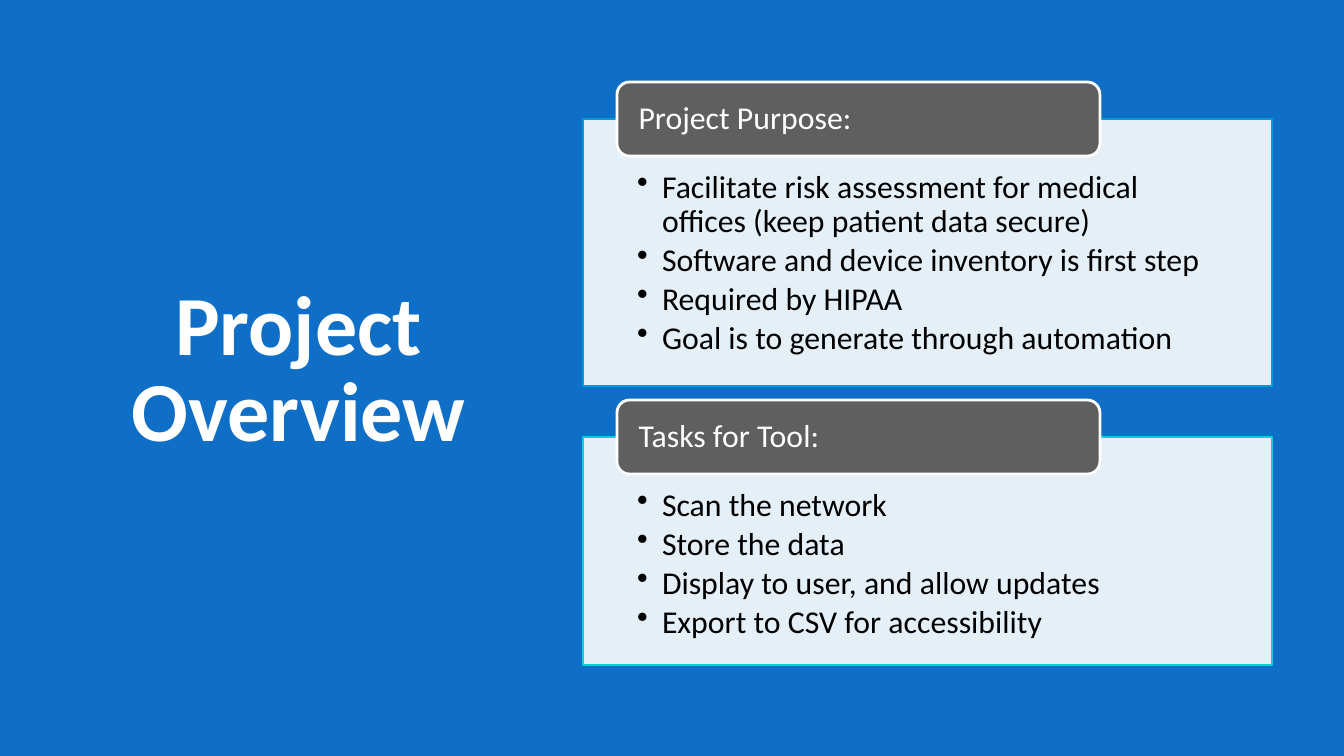
from lxml import etree
from pptx import Presentation
from pptx.dml.color import RGBColor
from pptx.enum.shapes import MSO_SHAPE
from pptx.enum.text import MSO_ANCHOR, PP_ALIGN
from pptx.oxml.ns import qn
from pptx.util import Pt

EMU_PER_PX = 914400 / 134.4
RECTANGLE = MSO_SHAPE.RECTANGLE
ROUNDED = MSO_SHAPE.ROUNDED_RECTANGLE
TOP, MIDDLE = MSO_ANCHOR.TOP, MSO_ANCHOR.MIDDLE
LEFT, CENTER = PP_ALIGN.LEFT, PP_ALIGN.CENTER

FONT = "Calibri"
COLORS = {
    "background": "0F6FC6",
    "white": "FFFFFF",
    "black": "000000",
    "tab": "5F5F5F",
    "purpose_line": "009DD9",
    "tasks_line": "0ACFD8",
}
PANEL_LEFT, PANEL_WIDTH = 583, 689
TAB_LEFT, TAB_WIDTH, TAB_HEIGHT = 617, 483, 74
BULLET_INDENT = 25

# Heading, panel top, panel height, line colour, bullet points
SECTIONS = [
    ("Project Purpose:", 119, 267, "purpose_line", [
        "Facilitate risk assessment for medical offices (keep patient data secure)",
        "Software and device inventory is first step",
        "Required by HIPAA",
        "Goal is to generate through automation",
    ]),
    ("Tasks for Tool:", 437, 228, "tasks_line", [
        "Scan the network",
        "Store the data",
        "Display to user, and allow updates",
        "Export to CSV for accessibility",
    ]),
]


def px(length):
    return round(length * EMU_PER_PX)


def color(name):
    return RGBColor.from_string(COLORS[name])


def set_frame(frame, anchor, left, top, right, bottom):
    frame.word_wrap = True
    frame.vertical_anchor = anchor
    frame.margin_left, frame.margin_top = px(left), px(top)
    frame.margin_right, frame.margin_bottom = px(right), px(bottom)


def style_paragraph(para, size, color_name, align=LEFT, spacing=0.9, bold=False):
    para.alignment = align
    para.line_spacing = spacing
    para.font.name = FONT
    para.font.size = Pt(size)
    para.font.bold = bold
    para.font.color.rgb = color(color_name)


def add_bullet(para):
    properties = para._p.get_or_add_pPr()
    properties.set("marL", str(px(BULLET_INDENT)))
    properties.set("indent", str(-px(BULLET_INDENT)))
    bullet = etree.Element(qn("a:buChar"), char="•")
    properties.insert_element_before(bullet, "a:tabLst", "a:defRPr", "a:extLst")


def set_opacity(shape, percent):
    fill_color = shape._element.spPr.find(qn("a:solidFill"))[0]
    etree.SubElement(fill_color, qn("a:alpha"), val=str(percent * 1000))


def add_box(slide, kind, left, top, width, height, fill, line, line_width):
    box = slide.shapes.add_shape(kind, px(left), px(top), px(width), px(height))
    box.shadow.inherit = False
    box.fill.solid()
    box.fill.fore_color.rgb = color(fill)
    box.line.color.rgb = color(line)
    box.line.width = Pt(line_width)
    return box


def add_title(slide, text):
    box = slide.shapes.add_textbox(px(78), px(70), px(441), px(606))
    set_frame(box.text_frame, MIDDLE, 13, 7, 13, 7)
    para = box.text_frame.paragraphs[0]
    para.text = text
    style_paragraph(para, 45, "white", CENTER, 0.85, bold=True)
    para.space_after = Pt(6)


def add_panel(slide, top, height, line, points):
    panel = add_box(slide, RECTANGLE, PANEL_LEFT, top, PANEL_WIDTH, height,
                    "white", line, 1)
    set_opacity(panel, 89)
    frame = panel.text_frame
    set_frame(frame, TOP, 54, 52, 54, 17)
    for index, point in enumerate(points):
        para = frame.add_paragraph() if index else frame.paragraphs[0]
        para.text = point
        style_paragraph(para, 17, "black")
        para.space_before = Pt(2.5 if index else 0)
        add_bullet(para)


def add_tab(slide, panel_top, heading):
    """Add the heading tab, centred on the top edge of its panel."""
    tab = add_box(slide, ROUNDED, TAB_LEFT, panel_top - TAB_HEIGHT // 2,
                  TAB_WIDTH, TAB_HEIGHT, "tab", "white", 1.5)
    tab.adjustments[0] = 0.17
    set_frame(tab.text_frame, MIDDLE, 18, 0, 18, 0)
    para = tab.text_frame.paragraphs[0]
    para.text = heading
    style_paragraph(para, 17, "white")


def main():
    deck = Presentation()
    deck.slide_width, deck.slide_height = px(1344), px(756)
    slide = deck.slides.add_slide(deck.slide_layouts[6])
    slide.background.fill.solid()
    slide.background.fill.fore_color.rgb = color("background")

    add_title(slide, "Project Overview")
    for heading, top, height, line, points in SECTIONS:
        add_panel(slide, top, height, line, points)
        add_tab(slide, top, heading)
    deck.save("out.pptx")


if __name__ == "__main__":
    main()
